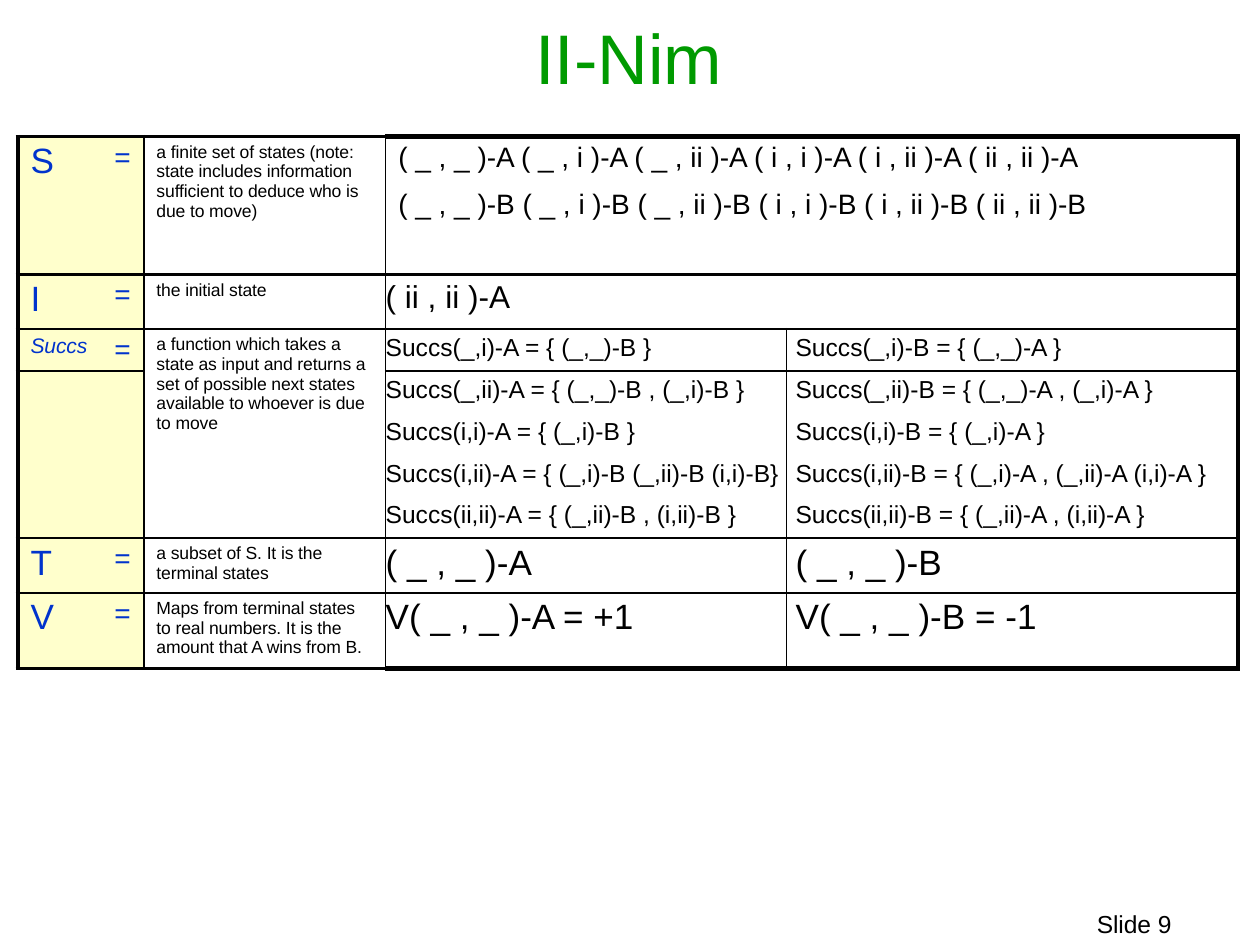
from lxml import etree
from pptx import Presentation
from pptx.dml.color import RGBColor
from pptx.enum import text as t
from pptx.oxml import ns
from pptx.util import Pt

GREEN = RGBColor(0x00, 0x9A, 0x00)
BLUE = RGBColor(0x00, 0x33, 0xCC)
BLACK = RGBColor(0, 0, 0)
RULE = RGBColor(0x01, 0x01, 0x01)
CREAM = RGBColor(0xFF, 0xFF, 0xCC)

FINITE_SET = ("a finite set of states (note: state includes information "
              "sufficient to deduce who is due to move)")
FUNCTION = ("a function which takes a state as input and returns a set of possible "
            "next states available to whoever is due to move")
TERMINAL = "a subset of S. It is the terminal states"
PAYOFF = "Maps from terminal states to real numbers. It is the amount that A wins from B."

# Height, symbol, meaning, size of values, value for A, value for B
ROWS = [
    (26.8, "S", FINITE_SET, 16,
     "( _ , _ )-A ( _ , i )-A ( _ , ii )-A ( i , i )-A ( i , ii )-A ( ii , ii )-A", ""),
    (51.8, "", "", 16,
     "( _ , _ )-B ( _ , i )-B ( _ , ii )-B ( i , i )-B ( i , ii )-B ( ii , ii )-B", ""),
    (31.2, "I", "the initial state", 18, "( ii , ii )-A", ""),
    (24, "Succs", FUNCTION, 14, "Succs(_,i)-A = { (_,_)-B }", "Succs(_,i)-B = { (_,_)-A }"),
    (23.8, "", "", 14, "Succs(_,ii)-A = { (_,_)-B , (_,i)-B }",
     "Succs(_,ii)-B = { (_,_)-A , (_,i)-A }"),
    (23.8, "", "", 14, "Succs(i,i)-A = { (_,i)-B }", "Succs(i,i)-B = { (_,i)-A }"),
    (23.8, "", "", 14, "Succs(i,ii)-A = { (_,i)-B (_,ii)-B (i,i)-B}",
     "Succs(i,ii)-B = { (_,i)-A , (_,ii)-A (i,i)-A }"),
    (23.8, "", "", 14, "Succs(ii,ii)-A = { (_,ii)-B , (i,ii)-B }",
     "Succs(ii,ii)-B = { (_,ii)-A , (i,ii)-A }"),
    (31.2, "T", TERMINAL, 20, "( _ , _ )-A", "( _ , _ )-B"),
    (43.2, "V", PAYOFF, 20, "V( _ , _ )-A = +1", "V( _ , _ )-B = -1"),
]
COLUMNS = [47.4, 24.4, 137.8, 228.6, 257.2]
WIDE_ROWS = 3                         # rows whose value spans both players
MERGES = [(0, 2, 1, 2), (3, 2, 7, 2)] + [(row, 3, row, 4) for row in range(WIDE_ROWS)]
INNER_RULES = [0, 1.5, 1.5, 1.5, 0, 0, 0, 1.5, 1.5]
VERTICAL_RULES = [3, 0, 1.5, 1, 0.5, 2.25]


def write(frame, content, size, color=BLACK, italic=False, tight=False,
          align=t.PP_ALIGN.LEFT, line=None):
    paragraph = frame.paragraphs[0]
    paragraph.alignment = align
    if line:
        paragraph.line_spacing = Pt(line)
    run = paragraph.add_run()
    run.text = content
    font = run.font
    font.name, font.size, font.italic = "Arial", Pt(size), italic
    font.color.rgb = color
    if tight:
        font._rPr.set("spc", "-5")


def clear_margins(target):
    target.margin_left = target.margin_top = target.margin_right = target.margin_bottom = 0


def place(shape, left, top, width, height):
    shape.left, shape.top, shape.width, shape.height = map(Pt, (left, top, width, height))
    clear_margins(shape.text_frame)
    shape.text_frame.word_wrap = False
    shape.text_frame.vertical_anchor = t.MSO_ANCHOR.TOP


def draw_borders(cell, widths):
    """Draw left, right, top and bottom rules; a width of 0 leaves a side open."""
    properties = cell._tc.get_or_add_tcPr()
    for index, (side, width) in enumerate(zip("LRTB", widths)):
        line = etree.Element(ns.qn(f"a:ln{side}"), w=str(Pt(width)))
        if width:
            fill = etree.SubElement(line, ns.qn("a:solidFill"))
            etree.SubElement(fill, ns.qn("a:srgbClr"), val=str(RULE))
        else:
            etree.SubElement(line, ns.qn("a:noFill"))
        properties.insert(index, line)


def cell_rules(row, column):
    """Give the four rule widths of a cell, with none inside a merged area."""
    outer = 2.25 if column < 3 else 3
    horizontal = [outer] + INNER_RULES + [outer]
    vertical = VERTICAL_RULES[:]
    first_row, last_row = row, row
    for top, left, bottom, right in MERGES:
        if top <= row <= bottom and left <= column <= right:
            first_row, last_row = top, bottom
            if right > left:
                vertical[right] = 0
    if row == first_row:
        above, below = horizontal[row], horizontal[last_row + 1]
    else:
        above, below = 0, horizontal[row + 1] if row == last_row else 0
    if column == 3 and row < WIDE_ROWS:
        return vertical[3], vertical[5], above, below
    return vertical[column], vertical[column + 1], above, below


def fill_cell(cell, row, column):
    _, symbol, meaning, size, value_a, value_b = ROWS[row]
    content = (symbol, "=" if symbol else "", meaning, value_a, value_b)[column]
    clear_margins(cell)
    if column < 2:
        cell.fill.solid()
        cell.fill.fore_color.rgb = CREAM
    else:
        cell.fill.background()
    draw_borders(cell, cell_rules(row, column))
    if not content:
        return
    cell.margin_top = Pt(3.4 if column == 2 else 3)
    cell.margin_left = Pt((7.2, 0, 7.2, 7.2 if row < 2 else 0, 5)[column])
    if column == 0:
        word = len(symbol) > 1
        write(cell.text_frame, content, 12 if word else 20, BLUE, italic=word, tight=word)
    elif column == 1:
        write(cell.text_frame, content, 16, BLUE, align=t.PP_ALIGN.CENTER)
    elif column == 2:
        cell.margin_right = Pt(11)
        write(cell.text_frame, content, 10, tight=True)
    else:
        write(cell.text_frame, content, size)


def add_game_table(slide):
    heights = [row[0] for row in ROWS]
    frame = slide.shapes.add_table(len(ROWS), len(COLUMNS), Pt(10.2), Pt(77.8),
                                   Pt(sum(COLUMNS)), Pt(sum(heights)))
    table = frame.table
    table.first_row = table.horz_banding = False
    style = table._tbl.tblPr.find(ns.qn("a:tableStyleId"))
    style.text = "{2D5ABB26-0587-4C30-8999-92F81FD0307C}"
    for column, width in zip(table.columns, COLUMNS):
        column.width = Pt(width)
    for row, height in zip(table.rows, heights):
        row.height = Pt(height)
    for top, left, bottom, right in MERGES:
        table.cell(top, left).merge(table.cell(bottom, right))
    for row in range(len(ROWS)):
        for column in range(len(COLUMNS)):
            fill_cell(table.cell(row, column), row, column)


def main():
    presentation = Presentation()
    presentation.slide_width, presentation.slide_height = Pt(718), Pt(538)
    slide = presentation.slides.add_slide(presentation.slide_layouts[5])

    title = slide.shapes.title
    place(title, 305.2, 8, 109, 50)
    title.text_frame.auto_size = t.MSO_AUTO_SIZE.NONE
    write(title.text_frame, "II-Nim", 40, GREEN, tight=True)

    add_game_table(slide)

    number = slide.shapes.add_textbox(0, 0, 0, 0)
    place(number, 625, 518.4, 53, 18)
    write(number.text_frame, "Slide 9", 14, tight=True, line=16.4)

    presentation.save("out.pptx")


if __name__ == "__main__":
    main()
